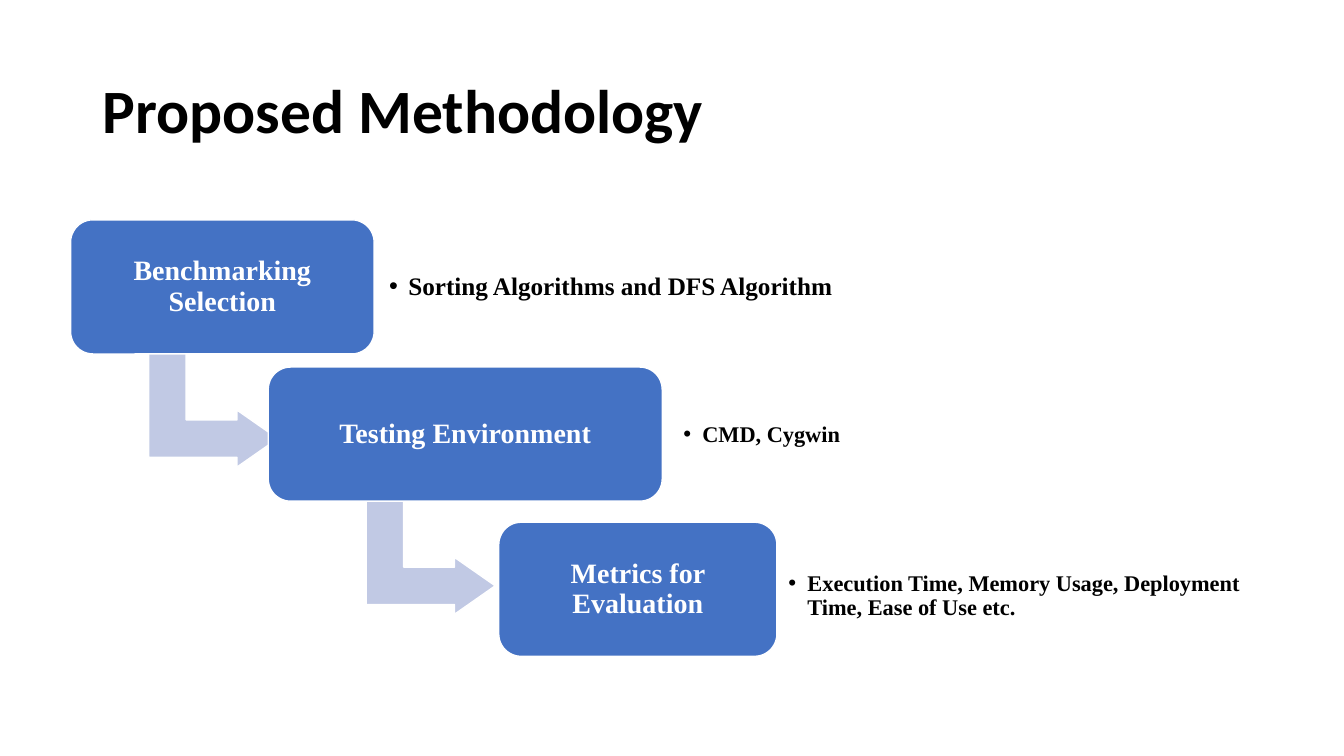
from lxml import etree
from pptx import Presentation
from pptx import util as u
from pptx.dml.color import RGBColor
from pptx.enum import shapes, text
from pptx.oxml import ns

COLORS = {"box": "4472C4", "arrow": "C1C9E4", "white": "FFFFFF", "black": "000000"}
BOX_HEIGHT, LABEL_HEIGHT = 3.38, 2.72
ARROW_DROP, ARROW_SIZE = 3.17, (2.87, 3.25)

STEPS = [
    dict(box=(1.78, 5.54, 7.65), arrow_left=3.94, name="Benchmarking Selection",
         label=(9.63, 5.89, 15.06), detail="Sorting Algorithms and DFS Algorithm", size=18),
    dict(box=(6.76, 9.25, 9.93), arrow_left=9.42, name="Testing Environment",
         label=(17.04, 9.6, 8.1), detail="CMD, Cygwin", size=16),
    dict(box=(12.57, 13.16, 7.01), arrow_left=None, name="Metrics for Evaluation",
         label=(19.69, 13.67, 12.57),
         detail="Execution Time, Memory Usage, Deployment Time, Ease of Use etc.", size=16),
]


class Builder:
    def __init__(self):
        self.deck = Presentation()
        self.deck.slide_width, self.deck.slide_height = u.Cm(33.87), u.Cm(19.05)
        self.page = self.deck.slides.add_slide(self.deck.slide_layouts[5])

    def color(self, name):
        return RGBColor.from_string(COLORS[name])

    def set_text(self, shape, words, size, color, align, inset, font="Times New Roman"):
        frame = shape.text_frame
        margins = dict.fromkeys(
            ("margin_left", "margin_top", "margin_right", "margin_bottom"), u.Cm(inset))
        frame_format = dict(margins, word_wrap=True, auto_size=text.MSO_AUTO_SIZE.NONE,
                            vertical_anchor=text.MSO_ANCHOR.MIDDLE)
        para = frame.paragraphs[0]
        span = para.add_run()
        span.text = words
        formats = [
            (frame, frame_format),
            (para, dict(alignment=align, line_spacing=0.9)),
            (span.font, dict(name=font, size=u.Pt(size), bold=True)),
        ]
        for target, values in formats:
            for key, value in values.items():
                setattr(target, key, value)
        span.font.color.rgb = self.color(color)
        return para

    def title(self, words, place):
        holder = self.page.shapes.title
        holder.left, holder.top, holder.width, holder.height = map(u.Cm, place)
        self.set_text(holder, words, 44, "black", text.PP_ALIGN.LEFT, 0.25, "Calibri")

    def shape(self, kind, place, fill, adjustments):
        shape = self.page.shapes.add_shape(kind, *map(u.Cm, place))
        shape.shadow.inherit = False
        shape.fill.solid()
        shape.fill.fore_color.rgb = self.color(fill)
        shape.line.color.rgb = self.color("white")
        shape.line.width = u.Pt(1)
        for index, value in enumerate(adjustments):
            shape.adjustments[index] = value
        return shape

    def arrow(self, left, top):
        arrow = self.shape(shapes.MSO_SHAPE.BENT_UP_ARROW, (left, top, *ARROW_SIZE),
                           "arrow", (0.328, 0.25, 0.358))
        arrow.rotation = 90

    def box(self, left, top, width, words):
        box = self.shape(shapes.MSO_SHAPE.ROUNDED_RECTANGLE,
                         (left, top, width, BOX_HEIGHT), "box", (0.167,))
        self.set_text(box, words, 20, "white", text.PP_ALIGN.CENTER, 0.2)

    def label(self, left, top, width, words, size):
        place = map(u.Cm, (left, top, width, LABEL_HEIGHT))
        label = self.page.shapes.add_textbox(*place)
        para = self.set_text(label, words, size, "black", text.PP_ALIGN.LEFT, 0.18)
        properties = para._p.get_or_add_pPr()
        indent = u.Cm(0.48)
        properties.set("marL", str(indent))
        properties.set("indent", str(-indent))
        etree.SubElement(properties, ns.qn("a:buFont")).set("typeface", "Arial")
        etree.SubElement(properties, ns.qn("a:buChar")).set("char", "•")


def main():
    builder = Builder()
    builder.title("Proposed Methodology", (2.34, 1.02, 29.21, 3.68))
    for step in STEPS:
        if step["arrow_left"] is not None:
            builder.arrow(step["arrow_left"], step["box"][1] + ARROW_DROP)
        builder.box(*step["box"], step["name"])
        builder.label(*step["label"], step["detail"], step["size"])
    builder.deck.save("out.pptx")


if __name__ == "__main__":
    main()
